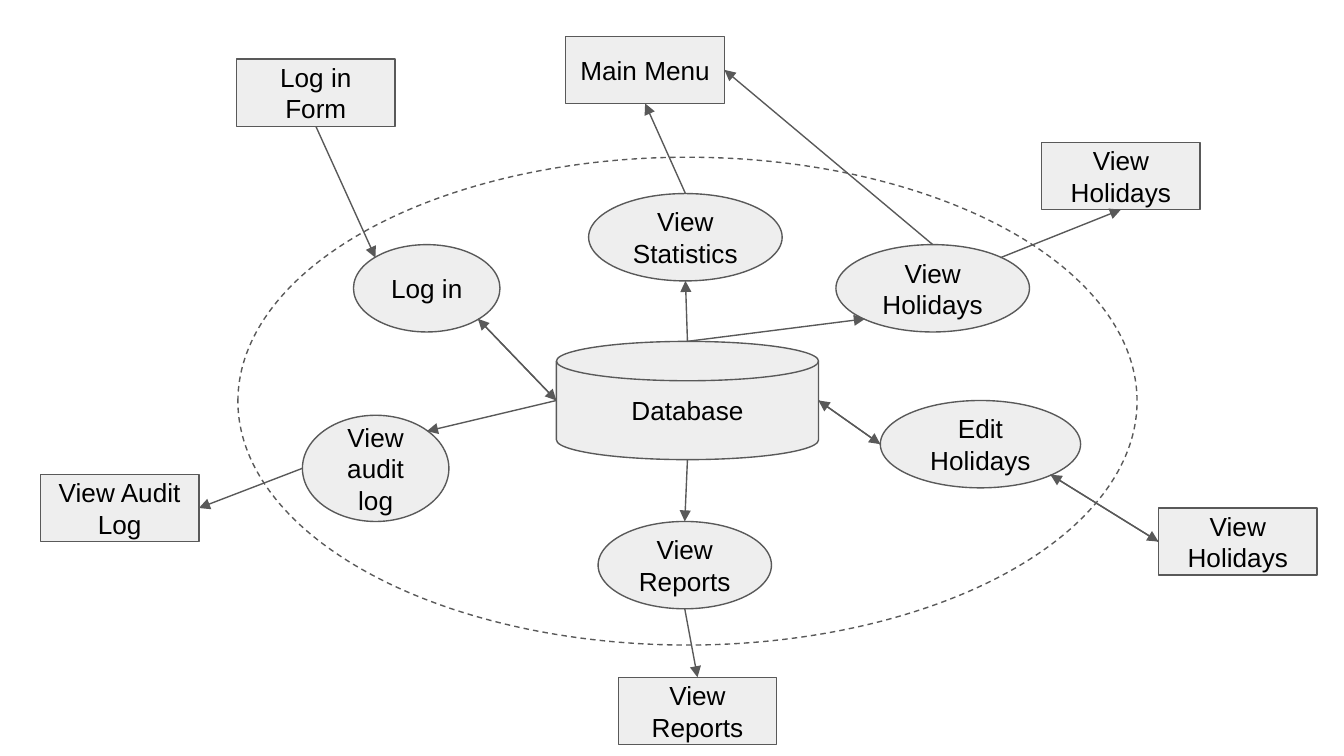
from lxml.etree import SubElement as Sub
from pptx import Presentation
from pptx.dml.color import RGBColor as RGB
from pptx.enum.dml import MSO_LINE as Dash
from pptx.enum.shapes import MSO_CONNECTOR as Conn, MSO_SHAPE as Kind
from pptx.enum.text import MSO_ANCHOR as Anchor, PP_ALIGN as Align
from pptx.oxml.ns import qn
from pptx.util import Inches, Pt

WIDE = 10
HIGH = WIDE * 9 / 16
HUES = {"fill": "EEEEEE", "line": "595959", "text": "000000"}
RING = (1.77, 1.17, 6.69, 3.63)
STORE = ("store", "Database", 4.14, 2.54, 1.95, 0.88)
FORM = (1.18, 0.5)
FORMS = [
    ("login form", "Log in Form", 1.76, 0.44),
    ("audit form", "View Audit Log", 0.3, 3.53),
    ("holiday form", "View Holidays", 7.75, 1.06),
    ("report form", "View Reports", 4.6, 5.04),
    ("menu", "Main Menu", 4.21, 0.27),
    ("edit form", "View Holidays", 8.62, 3.78),
]
STEPS = [
    ("login", "Log in", 2.63, 1.82, 1.09, 0.65),
    ("edit", "Edit Holidays", 6.55, 2.98, 1.49, 0.65),
    ("audit", "View audit log", 2.25, 3.09, 1.09, 0.79),
    ("holidays", "View Holidays", 6.22, 1.82, 1.44, 0.65),
    ("reports", "View Reports", 4.45, 3.88, 1.29, 0.65),
    ("stats", "View Statistics", 4.38, 1.44, 1.44, 0.65),
]
ONE_WAY = [
    (("login form", "bottom"), ("login", "top left")),
    (("store", "top"), ("stats", "bottom")),
    (("stats", "top"), ("menu", "bottom")),
    (("store", "bottom"), ("reports", "top")),
    (("reports", "bottom"), ("report form", "top")),
    (("store", "top"), ("holidays", "bottom left")),
    (("holidays", "top"), ("menu", "right")),
    (("holidays", "top right"), ("holiday form", "bottom")),
    (("store", "left"), ("audit", "top right")),
    (("audit", "left"), ("audit form", "right")),
]
TWO_WAY = [
    (("login", "bottom right"), ("store", "left")),
    (("store", "right"), ("edit", "left")),
    (("edit form", "left"), ("edit", "bottom right")),
]
SIDES = {"top": 0, "left": 1, "bottom": 2, "right": 3}
NEAR, FAR = 0.15, 0.85
SPOTS = {
    "top": (0.5, 0), "left": (0, 0.5),
    "bottom": (0.5, 1), "right": (1, 0.5),
    "top left": (NEAR, NEAR), "top right": (FAR, NEAR),
    "bottom left": (NEAR, FAR), "bottom right": (FAR, FAR),
}
FRAME = {
    "word_wrap": True, "vertical_anchor": Anchor.MIDDLE,
    "margin_left": Inches(0.1), "margin_right": Inches(0.1),
    "margin_top": Inches(0.1), "margin_bottom": Inches(0.1),
}
FONT = {"name": "Arial", "size": Pt(14)}

deck = Presentation()
deck.slide_width, deck.slide_height = Inches(WIDE), Inches(HIGH)
slide = deck.slides.add_slide(deck.slide_layouts[6])
nodes = {}


def apply(item, form):
    for key, val in form.items():
        setattr(item, key, val)


def ink(line):
    line.color.rgb = RGB.from_string(HUES["line"])
    line.width = Pt(0.75)


def draw(kind, box):
    shape = slide.shapes.add_shape(kind, *map(Inches, box))
    shape.shadow.inherit = False
    ink(shape.line)
    return shape


def add_node(kind, name, text, *box):
    shape = draw(kind, box)
    shape.fill.solid()
    shape.fill.fore_color.rgb = RGB.from_string(HUES["fill"])
    frame = shape.text_frame
    apply(frame, FRAME)
    para = frame.paragraphs[0]
    para.alignment = Align.CENTER
    run = para.add_run()
    run.text = text
    apply(run.font, FONT)
    run.font.color.rgb = RGB.from_string(HUES["text"])
    nodes[name] = shape


def point(name, spot):
    node, (x, y) = nodes[name], SPOTS[spot]
    return int(node.left + x * node.width), int(node.top + y * node.height)


def add_link(start, end):
    link = slide.shapes.add_connector(Conn.STRAIGHT, *point(*start), *point(*end))
    for join, (name, spot) in ((link.begin_connect, start), (link.end_connect, end)):
        if nodes[name].auto_shape_type == Kind.RECTANGLE:
            join(nodes[name], SIDES[spot])
    ink(link.line)
    Sub(link.line._get_or_add_ln(), qn("a:tailEnd"), type="triangle")
    Sub(link._element.spPr, qn("a:effectLst"))


ring = draw(Kind.OVAL, RING)
ring.fill.background()
ring.line.dash_style = Dash.DASH
add_node(Kind.FLOWCHART_MAGNETIC_DISK, *STORE)
for form in FORMS:
    add_node(Kind.RECTANGLE, *form, *FORM)
for step in STEPS:
    add_node(Kind.OVAL, *step)
for start, end in ONE_WAY:
    add_link(start, end)
for start, end in TWO_WAY:
    add_link(start, end)
    add_link(end, start)

deck.save("out.pptx")
